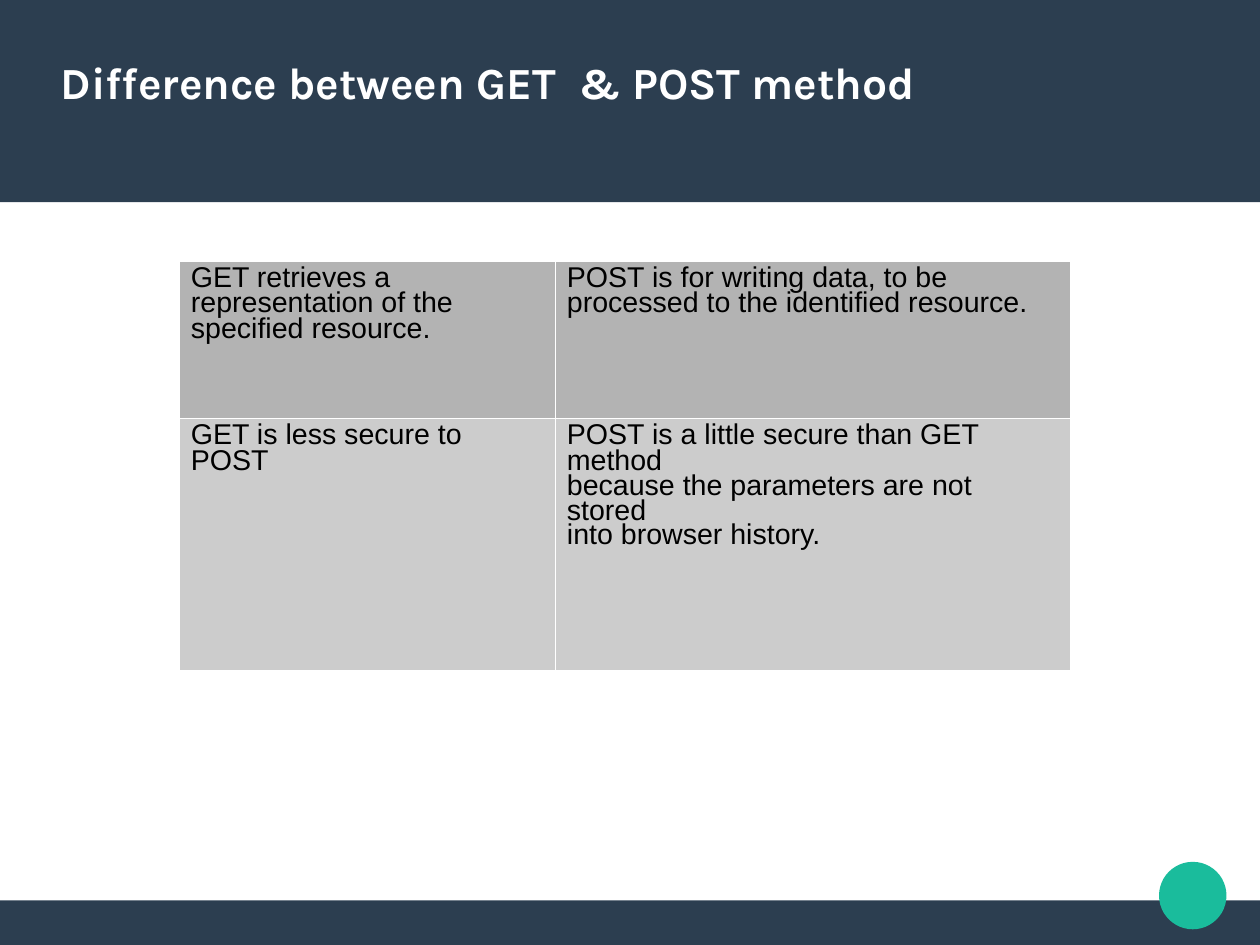
from pptx import Presentation
from pptx.dml.color import RGBColor
from pptx.enum import shapes, text
from pptx.oxml import parse_xml
from pptx.oxml.ns import nsdecls
from pptx.util import Cm, Inches, Pt

# Content
TITLE = "Difference between GET  & POST method"
ROWS = [
    (["GET retrieves a representation of the specified resource."],
     ["POST is for writing data, to be processed to the identified resource."]),
    (["GET is less secure to POST"],
     ["POST is a little secure than GET method",
      "because the parameters are not stored",
      "into browser history."]),
]
COL_WIDTHS = [3.29, 4.5]
ROW_HEIGHTS = [1.38, 2.2]

NAVY = RGBColor(0x2C, 0x3E, 0x50)
TEAL = RGBColor(0x1A, 0xBC, 0x9C)
WHITE = RGBColor(0xFF, 0xFF, 0xFF)
BLACK = RGBColor(0, 0, 0)
ROW_FILLS = [RGBColor(0xB3, 0xB3, 0xB3), RGBColor(0xCC, 0xCC, 0xCC)]

# A 4:3 metric page
prs = Presentation()
prs.slide_width, prs.slide_height = Cm(28), Cm(21)
WIDTH, HEIGHT = prs.slide_width.inches, prs.slide_height.inches
BAND, FOOTER = 1.77, 0.39
s = prs.slides.add_slide(prs.slide_layouts[5])


def add_plain(kind, color, left, top, width, height):
    sp = s.shapes.add_shape(kind, *map(Inches, (left, top, width, height)))
    sp.shadow.inherit = False
    sp.fill.solid()
    sp.fill.fore_color.rgb = color
    sp.line.fill.background()


def set_font(p, name, size, color, bold=False):
    for r in p.runs:
        r.font.name, r.font.size, r.font.bold = name, Pt(size), bold
        r.font.color.rgb = color


def set_borders(cell):
    tcPr = cell._tc.get_or_add_tcPr()
    for i, side in enumerate(("lnL", "lnR", "lnT", "lnB")):
        tcPr.insert(i, parse_xml(
            f'<a:{side} {nsdecls("a")} w="{Pt(0.06)}"><a:solidFill>'
            f'<a:srgbClr val="{WHITE}"/></a:solidFill></a:{side}>'))


# Footer band, header band and circle
add_plain(shapes.MSO_SHAPE.RECTANGLE, NAVY, 0, HEIGHT - FOOTER, WIDTH, FOOTER)
add_plain(shapes.MSO_SHAPE.RECTANGLE, NAVY, 0, 0, WIDTH, BAND)
add_plain(shapes.MSO_SHAPE.OVAL, TEAL, 10.14, 7.54, 0.59, 0.59)

# Title, raised above the header band
title = s.shapes.title
title.left, title.top = Inches(0.43), Inches(0.47)
title.width, title.height = Inches(9.18), Inches(0.54)
s.shapes._spTree.append(title._element)
tf = title.text_frame
tf.text = TITLE
tf.word_wrap = True
tf.auto_size = text.MSO_AUTO_SIZE.NONE
tf.vertical_anchor = text.MSO_ANCHOR.TOP
p = tf.paragraphs[0]
p.alignment = text.PP_ALIGN.LEFT
p.line_spacing = 0.94
set_font(p, "Karla", 28, WHITE, bold=True)

# Comparison table
table = s.shapes.add_table(
    len(ROWS), len(COL_WIDTHS), Inches(1.57), Inches(2.28),
    Inches(sum(COL_WIDTHS)), Inches(sum(ROW_HEIGHTS))).table
table.first_row = table.horz_banding = False
for col, width in zip(table.columns, COL_WIDTHS):
    col.width = Inches(width)
for i, (row, height) in enumerate(zip(ROWS, ROW_HEIGHTS)):
    table.rows[i].height = Inches(height)
    for j, lines in enumerate(row):
        cell = table.cell(i, j)
        cell.fill.solid()
        cell.fill.fore_color.rgb = ROW_FILLS[i]
        set_borders(cell)
        cell.text_frame.text = "\n".join(lines)
        for n, p in enumerate(cell.text_frame.paragraphs):
            p.line_spacing = 0.77 if n else 0.81
            set_font(p, "Arial", 18, BLACK)

prs.save("out.pptx")
